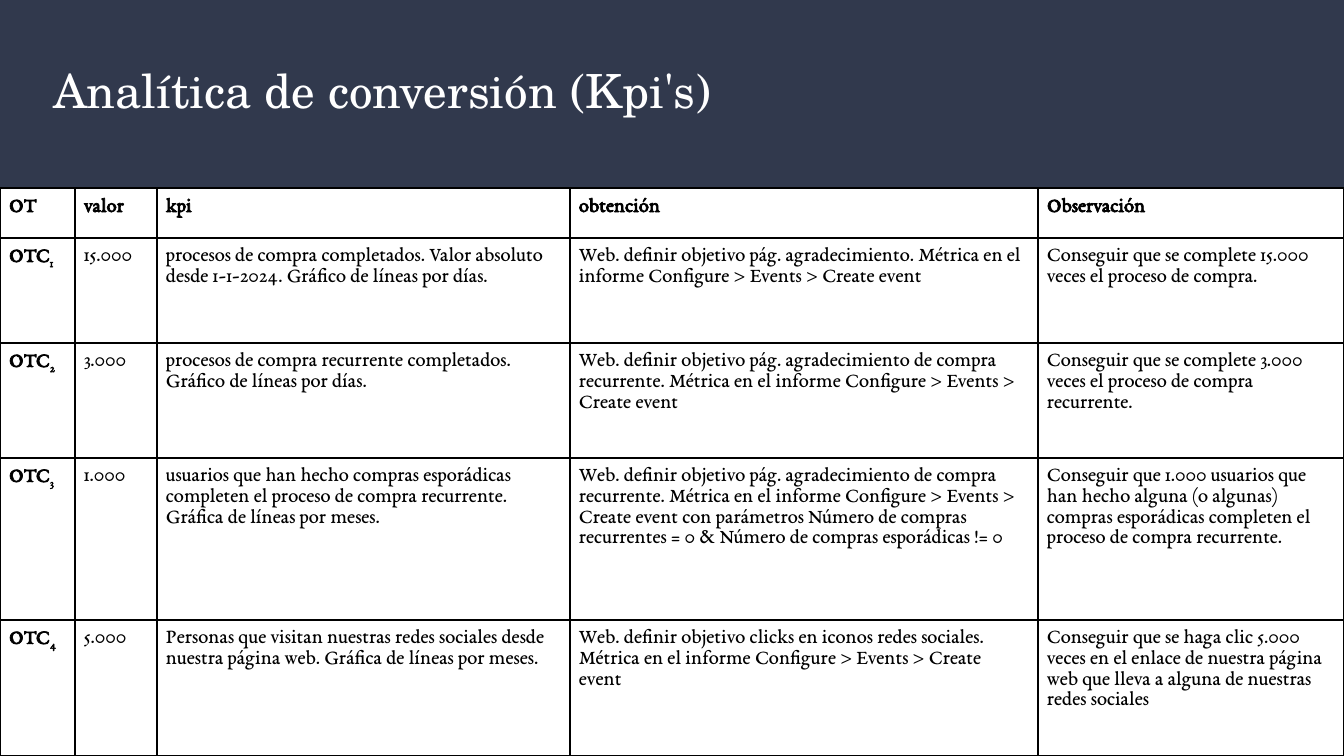
from lxml.etree import SubElement
from pptx import Presentation
from pptx.dml.color import RGBColor
from pptx.enum.shapes import MSO_SHAPE
from pptx.enum.text import MSO_ANCHOR
from pptx.oxml.ns import qn
from pptx.util import Pt

SCALE = 914400 / 134.4
WIDTH, HEIGHT = 1344, 756
BAND_HEIGHT = 188
COLUMNS = [75, 82, 413, 468, 306]
ROWS = [50, 105, 115, 162, 136]
HEADERS = ["OT", "valor", "kpi", "obtención", "Observación"]
GOALS = [
    ("15.000",
     "procesos de compra completados. Valor absoluto desde 1-1-2024. Gráfico de líneas por días.",
     "Web. definir objetivo pág. agradecimiento. Métrica en el informe Configure > Events > Create event",
     "Conseguir que se complete 15.000 veces el proceso de compra."),
    ("3.000",
     "procesos de compra recurrente completados. Gráfico de líneas por días.",
     "Web. definir objetivo pág. agradecimiento de compra recurrente. Métrica en el informe "
     "Configure > Events > Create event",
     "Conseguir que se complete 3.000 veces el proceso de compra recurrente."),
    ("1.000",
     "usuarios que han hecho compras esporádicas completen el proceso de compra recurrente. "
     "Gráfica de líneas por meses.",
     "Web. definir objetivo pág. agradecimiento de compra recurrente. Métrica en el informe "
     "Configure > Events > Create event con parámetros Número de compras recurrentes = 0 "
     "& Número de compras esporádicas != 0",
     "Conseguir que 1.000 usuarios que han hecho alguna (o algunas) compras esporádicas "
     "completen el proceso de compra recurrente."),
    ("5.000",
     "Personas que visitan nuestras redes sociales desde nuestra página web. "
     "Gráfica de líneas por meses.",
     "Web. definir objetivo clicks en iconos redes sociales. Métrica en el informe "
     "Configure > Events > Create event",
     "Conseguir que se haga clic 5.000 veces en el enlace de nuestra página web que lleva "
     "a alguna de nuestras redes sociales"),
]


def px(length):
    return round(length * SCALE)


def color(value):
    return RGBColor.from_string(value)


def add_span(para, text, font, size, fill, bold=False, subscript=False):
    span = para.add_run()
    span.text = text
    span.font.name = font
    span.font.size = Pt(size)
    span.font.bold = bold
    span.font.color.rgb = color(fill)
    if subscript:
        span.font._element.set("baseline", "-25000")


def set_margins(target, margin):
    target.margin_left = target.margin_right = px(margin)
    target.margin_top = target.margin_bottom = px(margin)


def add_borders(cell):
    properties = cell._tc.get_or_add_tcPr()
    for index, side in enumerate(("a:lnL", "a:lnR", "a:lnT", "a:lnB")):
        line = SubElement(properties, qn(side), w=str(Pt(1)))
        fill = SubElement(line, qn("a:solidFill"))
        SubElement(fill, qn("a:srgbClr"), val="000000")
        properties.insert(index, line)


def add_title_band(page, left, top, width, height):
    band = page.shapes.add_shape(MSO_SHAPE.RECTANGLE, px(left), px(top), px(width), px(height))
    band.shadow.inherit = False
    band.fill.solid()
    band.fill.fore_color.rgb = color("31394D")
    band.line.fill.background()

    box = page.shapes.add_textbox(px(left + 40), px(top + 44), px(width - 104), px(92))
    frame = box.text_frame
    frame.word_wrap = True
    frame.vertical_anchor = MSO_ANCHOR.MIDDLE
    set_margins(frame, 13)
    add_span(frame.paragraphs[0], "Analítica de conversión (Kpi's)", "TeX Gyre Schola", 25.2, "FFFFFF")


def fill_cell(cell, spans):
    cell.fill.solid()
    cell.fill.fore_color.rgb = color("FFFFFF")
    set_margins(cell, 9)
    add_borders(cell)
    para = cell.text_frame.paragraphs[0]
    for text, bold, subscript in spans:
        add_span(para, text, "EB Garamond", 11, "000000", bold, subscript)


def add_kpi_table(page, left, top, width, height):
    frame = page.shapes.add_table(len(ROWS), len(COLUMNS), px(left), px(top), px(width), px(height))
    table = frame.table
    for column, size in zip(table.columns, COLUMNS):
        column.width = px(size)
    for row, size in zip(table.rows, ROWS):
        row.height = px(size)

    for column, header in enumerate(HEADERS):
        fill_cell(table.cell(0, column), [(header, True, False)])
    for number, goal in enumerate(GOALS, 1):
        fill_cell(table.cell(number, 0), [("OTC", True, False), (str(number), True, True)])
        for column, text in enumerate(goal, 1):
            fill_cell(table.cell(number, column), [(text, False, False)])


def main():
    deck = Presentation()
    deck.slide_width, deck.slide_height = px(WIDTH), px(HEIGHT)
    page = deck.slides.add_slide(deck.slide_layouts[6])
    add_title_band(page, 0, 0, WIDTH, BAND_HEIGHT)
    add_kpi_table(page, 0, BAND_HEIGHT, WIDTH, HEIGHT - BAND_HEIGHT)
    deck.save("out.pptx")


if __name__ == "__main__":
    main()
